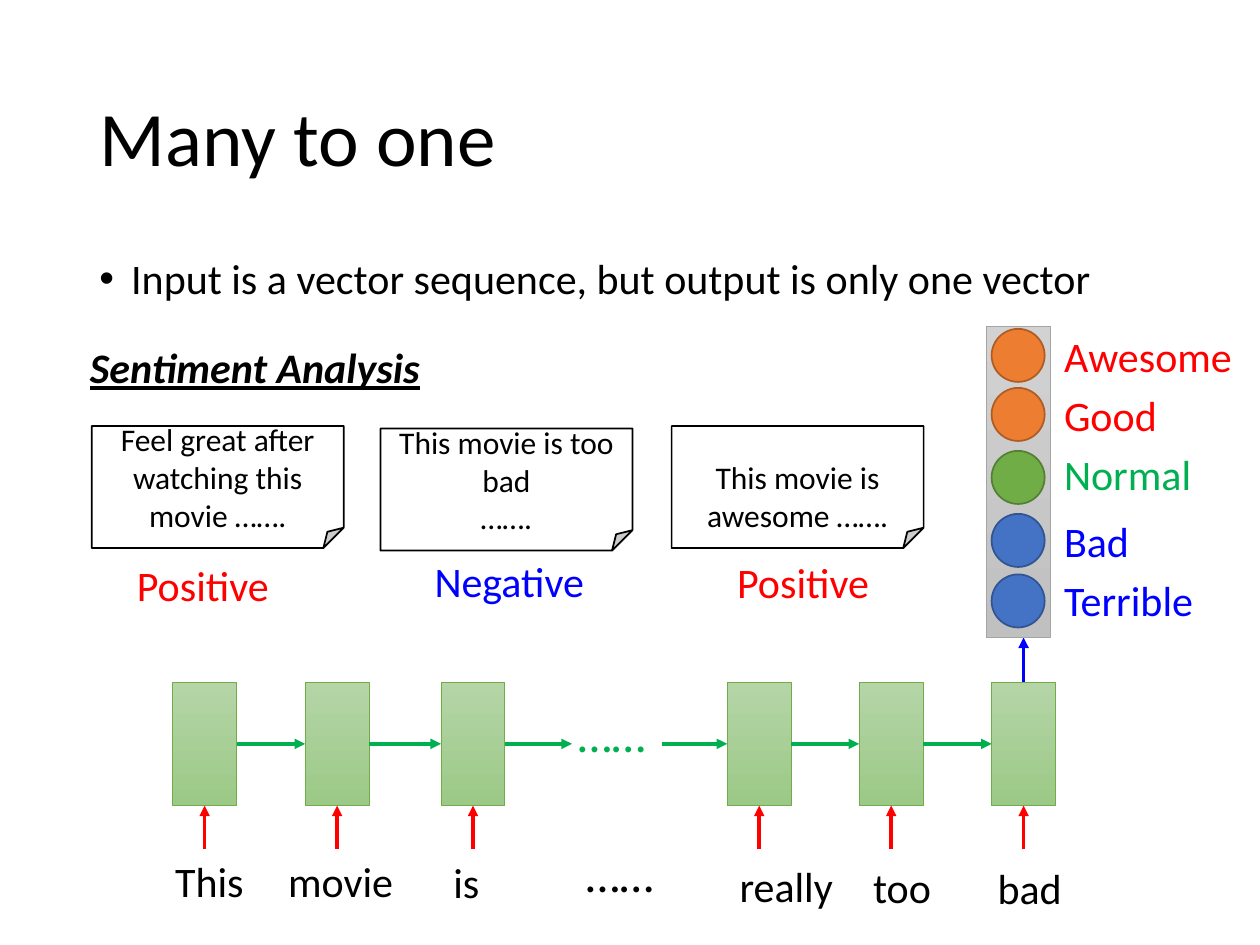
from lxml import etree
from pptx import Presentation
from pptx.dml.color import RGBColor
from pptx.enum import shapes, text
from pptx.oxml import ns
from pptx.util import Cm, Pt

BLACK = RGBColor(0x00, 0x00, 0x00)
WHITE = RGBColor(0xFF, 0xFF, 0xFF)
RED = RGBColor(0xFF, 0x00, 0x00)
GREEN = RGBColor(0x00, 0xB0, 0x50)
BLUE = RGBColor(0x00, 0x00, 0xFF)
ORANGE_NODE = (RGBColor(0xED, 0x7D, 0x31), RGBColor(0xAF, 0x5C, 0x24))
GREEN_NODE = (RGBColor(0x70, 0xAD, 0x47), RGBColor(0x53, 0x80, 0x35))
BLUE_NODE = (RGBColor(0x44, 0x72, 0xC4), RGBColor(0x32, 0x54, 0x91))
CELL_GRADIENT = (RGBColor(0xB5, 0xD5, 0xA7), RGBColor(0x9C, 0xC9, 0x87))
CELL_LINE = RGBColor(0x70, 0xAD, 0x47)
BAR_GRADIENT = (RGBColor(0xD2, 0xD2, 0xD2), RGBColor(0xC0, 0xC0, 0xC0))
BAR_LINE = RGBColor(0xA5, 0xA5, 0xA5)
FONT = "Calibri"

# Content; all lengths in centimetres
TITLE = "Many to one"
BULLET = "Input is a vector sequence, but output is only one vector"
HEADING = "Sentiment Analysis"

# Review, left, top, inset top, verdict, verdict left, verdict top, colour
REVIEWS = [
    ("Feel great after watching this movie …….", 1.85, 8.59, 0.13,
     "Positive", 2.51, 11.15, RED),
    ("This movie is too bad\n…….", 7.67, 8.64, 0.13,
     "Negative", 8.51, 11.07, BLUE),
    ("This movie is awesome …….", 13.54, 8.59, 0.89,
     "Positive", 14.61, 11.1, RED),
]
# Word, cell left, word left, word top, word width
STEPS = [
    ("This", 3.48, 3.28, 17.12, 1.91),
    ("movie", 6.15, 5.56, 17.12, 2.82),
    ("is", 8.89, 8.89, 17.15, 1.04),
    ("really", 14.66, 14.66, 17.22, 2.41),
    ("too", 17.32, 17.35, 17.25, 1.7),
    ("bad", 19.99, 19.86, 17.27, 1.83),
]
# Class, node top, label top, label width, label colour, node colours
CLASSES = [
    ("Awesome", 6.63, 6.53, 3.94, RED, ORANGE_NODE),
    ("Good", 7.82, 7.72, 2.41, RED, ORANGE_NODE),
    ("Normal", 9.09, 8.92, 3.1, GREEN, GREEN_NODE),
    ("Bad", 10.36, 10.26, 1.83, BLUE, BLUE_NODE),
    ("Terrible", 11.58, 11.46, 3.15, BLUE, BLUE_NODE),
]
ELLIPSIS = "……"

CELL_TOP, CELL_WIDTH, CELL_HEIGHT = 13.75, 1.29, 2.49
CELL_MIDDLE = CELL_TOP + CELL_HEIGHT / 2
CELL_BOTTOM = CELL_TOP + CELL_HEIGHT
WORD_ARROW_START = 17.12
BAR_LEFT, BAR_TOP, BAR_HEIGHT = 19.89, 6.58, 6.27
NODE_LEFT, NODE_SIZE = 19.99, 1.07
LABEL_LEFT = 21.2
GAP_LEFT, GAP_RIGHT = 11.53, 13.34
TOP, LEFT, BOTTOM, RIGHT = range(4)


def write(frame, content, size, color, align=text.PP_ALIGN.LEFT):
    frame.text = content
    for paragraph in frame.paragraphs:
        paragraph.alignment = align
        for run in paragraph.runs:
            run.font.name = FONT
            run.font.size = Pt(size)
            run.font.color.rgb = color


def place(shape, left, top, width, height):
    shape.left, shape.top = Cm(left), Cm(top)
    shape.width, shape.height = Cm(width), Cm(height)


def add_label(slide, content, left, top, width, color, size=24, wrap=True):
    height = 1.27 if size == 24 else 1.45
    box = slide.shapes.add_textbox(Cm(left), Cm(top), Cm(width), Cm(height))
    frame = box.text_frame
    frame.word_wrap = wrap
    frame.auto_size = text.MSO_AUTO_SIZE.SHAPE_TO_FIT_TEXT
    write(frame, content, size, color)
    return frame.paragraphs[0]


def add_preset(parent, kind, bounds, colors, line_color, line_width):
    """Two colours give a gradient from top to bottom, one a solid fill."""
    shape = parent.shapes.add_shape(kind, *[Cm(value) for value in bounds])
    shape.shadow.inherit = False
    if len(colors) == 1:
        shape.fill.solid()
        shape.fill.fore_color.rgb = colors[0]
    else:
        shape.fill.gradient()
        shape.fill.gradient_angle = 270
        for stop, color in zip(shape.fill.gradient_stops, colors):
            stop.color.rgb = color
    shape.line.color.rgb = line_color
    shape.line.width = Pt(line_width)
    return shape


def add_arrow(slide, start, end, color, begin=None, finish=None):
    """begin and finish are (shape, side) pairs the arrow is joined to."""
    arrow = slide.shapes.add_connector(
        shapes.MSO_CONNECTOR.STRAIGHT, *[Cm(value) for value in start + end])
    arrow.line.color.rgb = color
    arrow.line.width = Pt(2)
    if begin:
        arrow.begin_connect(*begin)
    if finish:
        arrow.end_connect(*finish)
    properties = arrow.element.spPr
    line = properties.find(ns.qn("a:ln"))
    etree.SubElement(line, ns.qn("a:tailEnd"), type="triangle")
    etree.SubElement(properties, ns.qn("a:effectLst"))


def add_headings(slide):
    title, body = slide.placeholders
    place(title, 1.75, 1.02, 21.89, 3.68)
    place(body, 1.75, 5.08, 21.89, 12.09)
    for shape, content, size in ((title, TITLE, 44), (body, BULLET, 24)):
        write(shape.text_frame, content, size, BLACK)
        shape.text_frame.auto_size = text.MSO_AUTO_SIZE.NONE
        shape.text_frame.paragraphs[0].line_spacing = 0.9
    title.text_frame.vertical_anchor = text.MSO_ANCHOR.MIDDLE
    bullet = body.text_frame.paragraphs[0]
    bullet.space_before = Pt(10)
    indent = Cm(0.64)
    bullet_properties = bullet._p.get_or_add_pPr()
    bullet_properties.set("marL", str(indent))
    bullet_properties.set("indent", str(-indent))

    heading = add_label(slide, HEADING, 1.37, 6.76, 7.54, BLACK)
    heading.alignment = text.PP_ALIGN.CENTER
    font = heading.runs[0].font
    font.bold = font.italic = font.underline = True


def add_reviews(slide):
    for review, left, top, inset, verdict, x, y, color in REVIEWS:
        note = add_preset(slide, shapes.MSO_SHAPE.FOLDED_CORNER,
                          (left, top, 5.08, 2.46), [WHITE], BLACK, 1)
        note.text_frame.margin_top = Cm(inset)
        note.text_frame.vertical_anchor = text.MSO_ANCHOR.MIDDLE
        write(note.text_frame, review, 18, BLACK, text.PP_ALIGN.CENTER)
        add_label(slide, verdict, x, y, 3.9, color)


def add_network(slide):
    # Cells with their input words
    cells = []
    for word, left, word_left, word_top, word_width in STEPS:
        cell = add_preset(slide, shapes.MSO_SHAPE.RECTANGLE,
                          (left, CELL_TOP, CELL_WIDTH, CELL_HEIGHT),
                          CELL_GRADIENT, CELL_LINE, 0.5)
        cells.append((cell, left))
        center = left + CELL_WIDTH / 2
        add_arrow(slide, (center, WORD_ARROW_START), (center, CELL_BOTTOM),
                  RED, finish=(cell, BOTTOM))
        add_label(slide, word, word_left, word_top, word_width, BLACK,
                  wrap=False)

    # Links between cells, with a gap for the steps left out
    for index, ((cell, left), (following, next_left)) in enumerate(
            zip(cells, cells[1:])):
        start = (left + CELL_WIDTH, CELL_MIDDLE)
        end = (next_left, CELL_MIDDLE)
        if index == 2:
            add_arrow(slide, start, (GAP_LEFT, CELL_MIDDLE), GREEN,
                      begin=(cell, RIGHT))
            add_arrow(slide, (GAP_RIGHT, CELL_MIDDLE), end, GREEN,
                      finish=(following, LEFT))
        else:
            add_arrow(slide, start, end, GREEN, (cell, RIGHT),
                      (following, LEFT))
    add_label(slide, ELLIPSIS, 11.4, 14.05, 3.07, GREEN, 28)
    add_label(slide, ELLIPSIS, 11.56, 16.87, 3.07, BLACK, 28)

    # Output from the last cell
    last, left = cells[-1]
    center = left + CELL_WIDTH / 2
    add_arrow(slide, (center, CELL_TOP), (center, BAR_TOP + BAR_HEIGHT), BLUE,
              begin=(last, TOP))


def add_output(slide):
    group = slide.shapes.add_group_shape()
    add_preset(group, shapes.MSO_SHAPE.RECTANGLE,
               (BAR_LEFT, BAR_TOP, CELL_WIDTH, BAR_HEIGHT),
               BAR_GRADIENT, BAR_LINE, 0.5)
    for name, node_top, label_top, width, color, (fill, outline) in CLASSES:
        add_preset(group, shapes.MSO_SHAPE.OVAL,
                   (NODE_LEFT, node_top, NODE_SIZE, NODE_SIZE),
                   [fill], outline, 1)
        add_label(slide, name, LABEL_LEFT, label_top, width, color, wrap=False)


def main():
    presentation = Presentation()
    presentation.slide_width, presentation.slide_height = Cm(25.4), Cm(19.05)
    slide = presentation.slides.add_slide(presentation.slide_layouts[1])
    add_headings(slide)
    add_network(slide)
    add_output(slide)
    add_reviews(slide)
    presentation.save("out.pptx")


if __name__ == "__main__":
    main()
